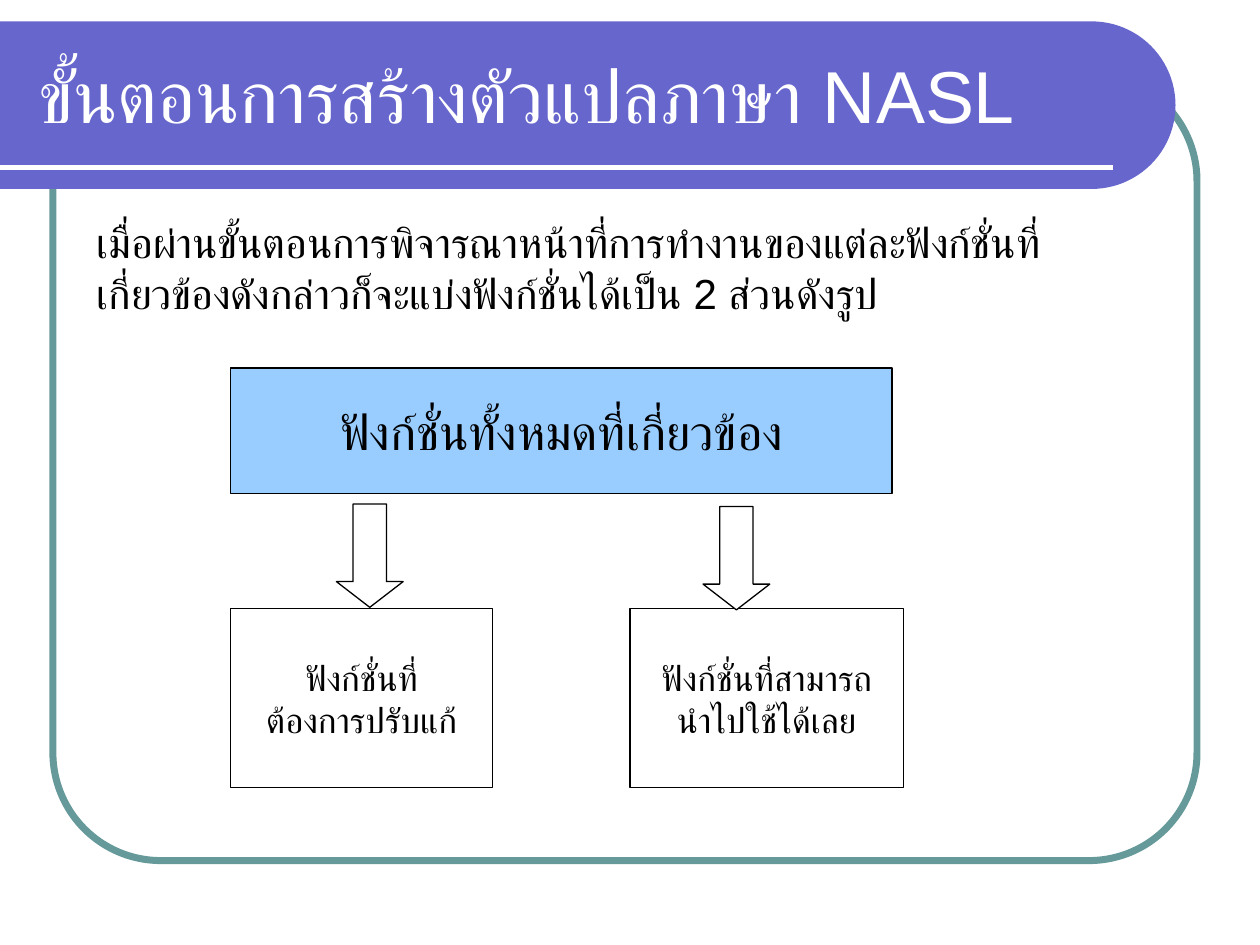
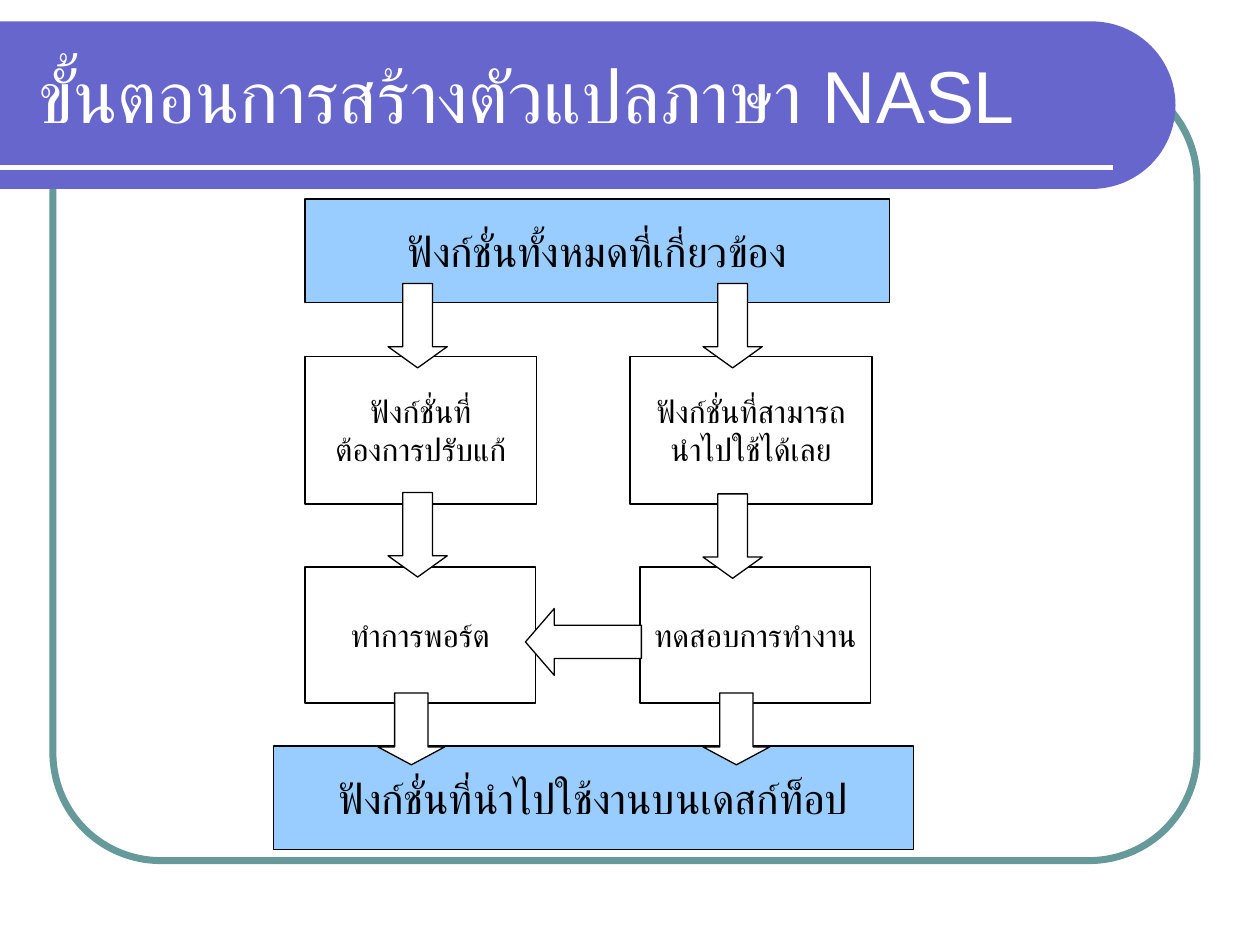
from math import cos, pi, sin

from pptx import Presentation
from pptx.dml.color import RGBColor
from pptx.enum.shapes import MSO_CONNECTOR, MSO_SHAPE
from pptx.enum.text import MSO_ANCHOR, PP_ALIGN
from pptx.oxml.ns import qn
from pptx.util import Inches, Pt

WHITE = RGBColor(0xFF, 0xFF, 0xFF)
BLACK = RGBColor(0x00, 0x00, 0x00)
VIOLET = RGBColor(0x66, 0x66, 0xCC)
TEAL = RGBColor(0x66, 0x99, 0x99)
SKY = RGBColor(0x99, 0xCC, 0xFF)
FONT = "Arial"

TITLE = "ขั้นตอนการสร้างตัวแปลภาษา NASL"
INTRO = [
    "เมื่อผ่านขั้นตอนการพิจารณาหน้าที่การทำงานของแต่ละฟังก์ชั่นที่",
    "เกี่ยวข้องดังกล่าวก็จะแบ่งฟังก์ชั่นได้เป็น 2 ส่วนดังรูป",
]
ALL_FUNCTIONS = ["ฟังก์ชั่นทั้งหมดที่เกี่ยวข้อง"]
TO_MODIFY = ["ฟังก์ชั่นที่", "ต้องการปรับแก้"]
READY_TO_USE = ["ฟังก์ชั่นที่สามารถ", "นำไปใช้ได้เลย"]
PORTING = ["ทำการพอร์ต"]
TESTING = ["ทดสอบการทำงาน"]
FINAL_FUNCTIONS = ["ฟังก์ชั่นที่นำไปใช้งานบนเดสก์ท็อป"]

# Each row of boxes: top, height, fill, text size, [(left, width, lines)]
# Each row of down arrows: width, height, head ratio, [(left, top)]
SPLIT = {
    "intro": INTRO,
    "boxes": [
        (2.92, 1, SKY, 28, [(1.83, 5.25, ALL_FUNCTIONS)]),
        (4.83, 1.42, WHITE, 20, [(1.83, 2.08, TO_MODIFY), (5, 2.17, READY_TO_USE)]),
    ],
    "down_arrows": [(0.53, 0.82, 0.385, [(2.67, 4), (5.58, 4.02)])],
    "left_arrows": [],
}
PROCESS = {
    "intro": [],
    "boxes": [
        (1.58, 0.82, SKY, 24, [(2.42, 4.64, ALL_FUNCTIONS)]),
        (2.83, 1.17, WHITE, 18, [(2.42, 1.84, TO_MODIFY), (5, 1.92, READY_TO_USE)]),
        (4.5, 1.08, WHITE, 18, [(2.42, 1.83, PORTING), (5.08, 1.83, TESTING)]),
        (5.92, 0.82, SKY, 24, [(2.17, 5.08, FINAL_FUNCTIONS)]),
    ],
    "down_arrows": [
        (0.47, 0.67, 0.358, [(3.08, 2.25), (5.58, 2.25), (3.08, 3.91), (5.58, 3.92)]),
        (0.53, 0.57, 0.267, [(3, 5.5), (5.58, 5.5)]),
    ],
    "left_arrows": [(4.17, 4.83, 0.92, 0.53, 0.432)],
}


def style_shape(shape, fill, line, line_width=0.75):
    """Set fill and line; None leaves either one out."""
    shape.shadow.inherit = False
    if fill is None:
        shape.fill.background()
    else:
        shape.fill.solid()
        shape.fill.fore_color.rgb = fill
    if line is None:
        shape.line.fill.background()
    else:
        shape.line.color.rgb = line
        shape.line.width = Pt(line_width)


def write_lines(shape, lines, size, color, align, anchor, wrap):
    frame = shape.text_frame
    frame.word_wrap = wrap
    frame.vertical_anchor = anchor
    frame.text = "\n".join(lines)
    for paragraph in frame.paragraphs:
        paragraph.alignment = align
        for run in paragraph.runs:
            run.font.size = Pt(size)
            run.font.name = FONT
            run.font.color.rgb = color
            complex_font = run.font._element.makeelement(qn("a:cs"), {"typeface": FONT})
            run.font._element.append(complex_font)


def add_preset(slide, kind, left, top, width, height, fill, line, line_width=0.75):
    shape = slide.shapes.add_shape(
        kind, Inches(left), Inches(top), Inches(width), Inches(height))
    style_shape(shape, fill, line, line_width)
    return shape


def add_text(slide, left, top, width, height, lines, size, color, anchor):
    box = slide.shapes.add_textbox(
        Inches(left), Inches(top), Inches(width), Inches(height))
    write_lines(box, lines, size, color, PP_ALIGN.LEFT, anchor, True)
    return box


def add_title_band(slide, top=0.17, height=1.33, right=9.33, steps=48):
    """Draw a band from the left edge that ends in a half circle."""
    radius = height / 2
    angles = [-pi / 2 + pi * step / steps for step in range(steps + 1)]
    arc = [(right - radius + radius * cos(angle), top + radius + radius * sin(angle))
           for angle in angles]
    builder = slide.shapes.build_freeform(0, Inches(top))
    builder.add_line_segments(
        [(Inches(x), Inches(y)) for x, y in arc + [(0, top + height)]], close=True)
    style_shape(builder.convert_to_shape(), VIOLET, None)


def add_frame_and_title(slide):
    frame = add_preset(
        slide, MSO_SHAPE.ROUNDED_RECTANGLE, 0.42, 0.58, 9.08, 6.25, None, TEAL, 4)
    frame.adjustments[0] = 0.137
    add_title_band(slide)
    rule = slide.shapes.add_connector(
        MSO_CONNECTOR.STRAIGHT, 0, Inches(1.33), Inches(8.83), Inches(1.33))
    rule.line.color.rgb = WHITE
    rule.line.width = Pt(3)
    properties = rule._element.spPr
    properties.append(properties.makeelement(qn("a:effectLst"), {}))
    add_text(slide, 0.21, 0.25, 8.77, 1, [TITLE], 42, WHITE, MSO_ANCHOR.MIDDLE)


def add_intro(slide, lines):
    box = add_text(slide, 0.67, 1.75, 8.17, 0.83, lines, 24, BLACK, MSO_ANCHOR.TOP)
    for index, paragraph in enumerate(box.text_frame.paragraphs):
        paragraph.line_spacing = 0.8
        paragraph.space_before = Pt(6 if index else 0)


def add_arrow(slide, kind, left, top, width, height, head):
    arrow = add_preset(slide, kind, left, top, width, height, WHITE, BLACK)
    arrow.adjustments[0] = 0.5
    arrow.adjustments[1] = head


def build_slide(presentation, content):
    slide = presentation.slides.add_slide(presentation.slide_layouts[6])
    add_frame_and_title(slide)
    if content["intro"]:
        add_intro(slide, content["intro"])
    for top, height, fill, size, boxes in content["boxes"]:
        for left, width, lines in boxes:
            box = add_preset(
                slide, MSO_SHAPE.RECTANGLE, left, top, width, height, fill, BLACK)
            write_lines(
                box, lines, size, BLACK, PP_ALIGN.CENTER, MSO_ANCHOR.MIDDLE, False)
    for width, height, head, places in content["down_arrows"]:
        for left, top in places:
            add_arrow(slide, MSO_SHAPE.DOWN_ARROW, left, top, width, height, head)
    for arrow in content["left_arrows"]:
        add_arrow(slide, MSO_SHAPE.LEFT_ARROW, *arrow)


def main():
    presentation = Presentation()
    presentation.slide_width = Inches(10)
    presentation.slide_height = Inches(7.5)
    for content in (SPLIT, PROCESS):
        build_slide(presentation, content)
    presentation.save("out.pptx")


if __name__ == "__main__":
    main()
